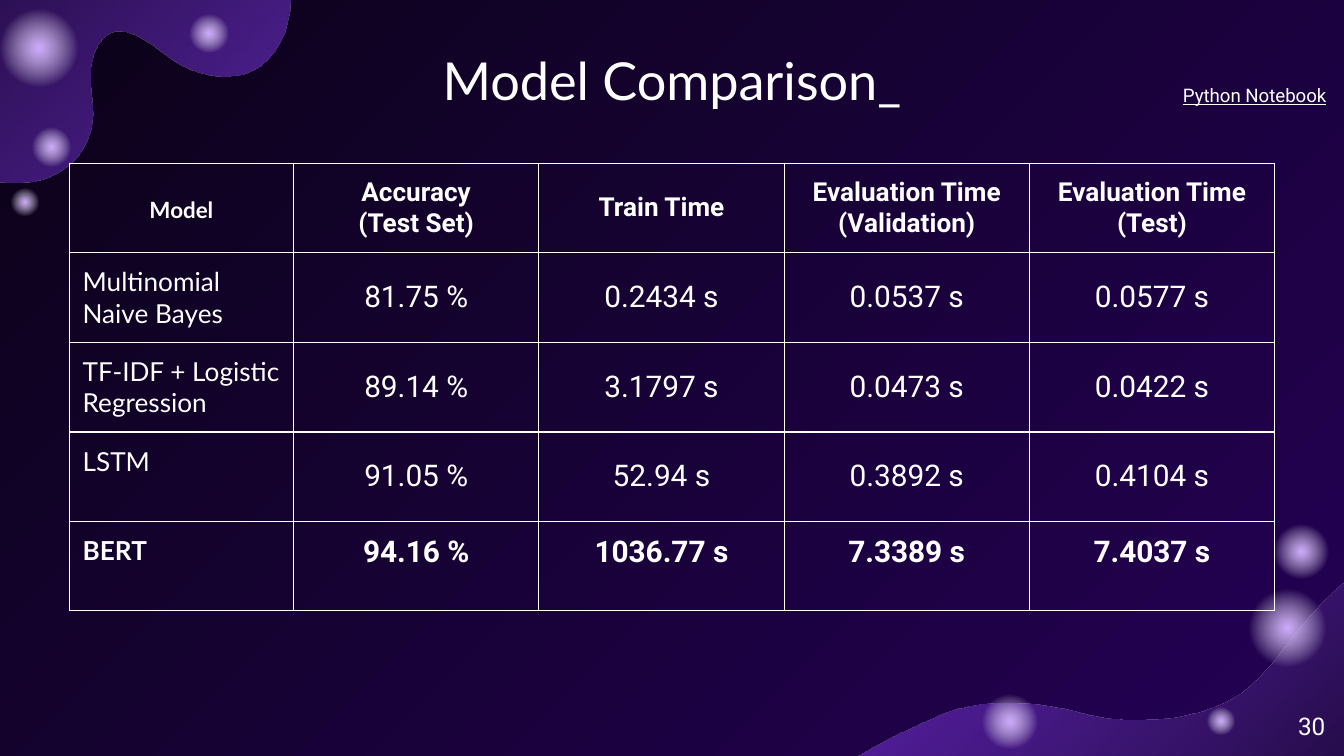
import dataclasses

import lxml.etree
import pptx
import pptx.dml.color
import pptx.enum.shapes
import pptx.enum.text
import pptx.oxml.ns
import pptx.util

CELL = pptx.util.Inches(0.01)
COLUMNS, ROWS = 1000, 562.5
ALIGN = pptx.enum.text.PP_ALIGN
ANCHOR = pptx.enum.text.MSO_ANCHOR
qn = pptx.oxml.ns.qn


@dataclasses.dataclass(frozen=True)
class Theme:
    ink: str = "FFFFFF"
    night: tuple = ((0, "0B0218", 100), (100, "240155", 100))
    top_wave: tuple = ((0, "31125C", 90), (100, "632BB7", 78))
    bottom_wave: tuple = ((0, "270E4B", 93), (100, "6E2CCA", 75))
    glow: tuple = ((0, "CEABFF", 100), (57, "FFFFFF", 0), (100, "FFFFFF", 0))
    display: str = "Lato"
    body: str = "Roboto"
    title: int = 28
    figure: int = 16
    label: int = 14
    number: int = 13
    corner: int = 12
    link: int = 10
    rule: float = 0.75


@dataclasses.dataclass(frozen=True)
class Box:
    left: float
    top: float
    width: float
    height: float

    def frame(self):
        return [round(side * CELL) for side in (self.left, self.top, self.width, self.height)]

    def point(self, x, y):
        return round((self.left + x) * CELL), round((self.top + y) * CELL)


THEME = Theme()

TOP_CORNER = Box(0, 0, 216, 136)
TOP_WAVE = [(0, 135), (6, 136), (11, 136), (16, 136), (39, 135), (58, 123), (66, 102),
            (75, 80), (60, 56), (73, 34), (87, 10), (112, 33), (127, 44),
            (144, 56), (172, 63), (191, 51), (200, 45), (207, 35), (211, 25),
            (214, 16), (215, 8), (216, 0)]
TOP_ORBS = [(38.5, 109.5, 36), (18.5, 150.5, 26), (155.5, 25, 36), (29, 36, 72)]

BOTTOM_CORNER = Box(638, 433, 362, 129.5)
BOTTOM_WAVE = [(362, 0), (350, 10), (339, 22), (327, 36), (311, 56), (298, 78), (272, 90),
               (245, 103), (203, 106), (172, 99), (139, 90), (99, 85), (66, 97),
               (43, 107), (21, 117), (0, 129.5)]
BOTTOM_ORBS = [(320, 34.5, 72), (330.5, -22.5, 51), (113.5, 104, 51), (270.5, 103.5, 26)]

HEADINGS = ["Model", "Accuracy\n(Test Set)", "Train Time",
            "Evaluation Time (Validation)", "Evaluation Time (Test)"]
RESULTS = [
    ["Multinomial Naive Bayes", "81.75 %", "0.2434 s", "0.0537 s", "0.0577 s"],
    ["TF-IDF + Logistic Regression", "89.14 %", "3.1797 s", "0.0473 s", "0.0422 s"],
    ["LSTM", "91.05 %", "52.94 s", "0.3892 s", "0.4104 s"],
    ["BERT", "94.16 %", "1036.77 s", "7.3389 s", "7.4037 s"],
]


def paint_gradient(fill, owner, stops, angle=None):
    fill.gradient()
    gradient = next(owner.iter(qn("a:gradFill")))
    for child in list(gradient):
        gradient.remove(child)
    stop_list = lxml.etree.SubElement(gradient, qn("a:gsLst"))
    for position, colour, opacity in stops:
        stop = lxml.etree.SubElement(stop_list, qn("a:gs"), pos=str(position * 1000))
        tint = lxml.etree.SubElement(stop, qn("a:srgbClr"), val=colour)
        if opacity < 100:
            lxml.etree.SubElement(tint, qn("a:alpha"), val=str(opacity * 1000))
    if angle is None:
        circle = lxml.etree.SubElement(gradient, qn("a:path"), path="circle")
        lxml.etree.SubElement(circle, qn("a:fillToRect"), l="50000", t="50000", r="50000", b="50000")
    else:
        lxml.etree.SubElement(gradient, qn("a:lin"), ang=str(angle * 60000), scaled="0")


def write(frame, text, font, size, align, bold=False, underline=False):
    frame.text = text
    for paragraph in frame.paragraphs:
        paragraph.alignment = align
        for run in paragraph.runs:
            run.font.name = font
            run.font.size = pptx.util.Pt(size)
            run.font.bold = bold
            run.font.underline = underline
            run.font.color.rgb = pptx.dml.color.RGBColor.from_string(THEME.ink)


def pad(holder):
    holder.margin_left = holder.margin_right = 10 * CELL
    holder.margin_top = holder.margin_bottom = 10 * CELL


def trace(knots, steps=12):
    curve = [knots[0]]
    for i in range(0, len(knots) - 1, 3):
        for step in range(1, steps + 1):
            t = step / steps
            weights = ((1 - t) ** 3, 3 * t * (1 - t) ** 2, 3 * t * t * (1 - t), t ** 3)
            curve.append(tuple(sum(w * knot[axis] for w, knot in zip(weights, knots[i:i + 4]))
                               for axis in (0, 1)))
    return curve


def add_corner(slide, box, wave, corner, stops, angle, orbs):
    outline = [box.point(x, y) for x, y in trace(wave) + [corner]]
    builder = slide.shapes.build_freeform(*outline[0])
    builder.add_line_segments(outline[1:], close=True)
    hill = builder.convert_to_shape()
    hill.shadow.inherit = False
    hill.line.fill.background()
    paint_gradient(hill.fill, hill._element, stops, angle)
    for x, y, size in orbs:
        area = Box(box.left + x - size / 2, box.top + y - size / 2, size, size)
        orb = slide.shapes.add_shape(pptx.enum.shapes.MSO_SHAPE.OVAL, *area.frame())
        orb.shadow.inherit = False
        orb.line.fill.background()
        paint_gradient(orb.fill, orb._element, THEME.glow)


def add_heading(slide, box):
    heading = slide.shapes.title
    heading.left, heading.top, heading.width, heading.height = box.frame()
    frame = heading.text_frame
    pad(frame)
    frame.vertical_anchor = ANCHOR.TOP
    frame.auto_size = pptx.enum.text.MSO_AUTO_SIZE.NONE
    write(frame, "Model Comparison_", THEME.display, THEME.title, ALIGN.CENTER)


def add_note(slide, box, text, size, align, underline=False):
    frame = slide.shapes.add_textbox(*box.frame()).text_frame
    frame.word_wrap = True
    pad(frame)
    write(frame, text, THEME.body, size, align, underline=underline)


def rule_cell(cell):
    properties = cell._tc.get_or_add_tcPr()
    for side in ("a:lnL", "a:lnR", "a:lnT", "a:lnB"):
        edge = lxml.etree.SubElement(properties, qn(side), w=str(pptx.util.Pt(THEME.rule)))
        solid = lxml.etree.SubElement(edge, qn("a:solidFill"))
        lxml.etree.SubElement(solid, qn("a:srgbClr"), val=THEME.ink)
    cell.fill.background()


def add_results(slide, box, model_width):
    records = [HEADINGS] + RESULTS
    table = slide.shapes.add_table(len(records), len(HEADINGS), *box.frame()).table
    table.first_row = table.horz_banding = False
    measure_width = (box.width - model_width) / (len(HEADINGS) - 1)
    for c, column in enumerate(table.columns):
        column.width = round((measure_width if c else model_width) * CELL)
    for r, record in enumerate(records):
        table.rows[r].height = round(box.height / len(records) * CELL)
        for c, entry in enumerate(record):
            cell = table.cell(r, c)
            rule_cell(cell)
            pad(cell)
            at_top = record[0] == "BERT" or entry == "LSTM"
            cell.vertical_anchor = ANCHOR.TOP if at_top else ANCHOR.MIDDLE
            font = THEME.body if c else THEME.display
            size = THEME.figure if r and c else THEME.label if r or c else THEME.corner
            align = ALIGN.LEFT if r and not c else ALIGN.CENTER
            write(cell.text_frame, entry, font, size, align, bold=r in (0, len(RESULTS)))
    table.cell(0, 0).text_frame.paragraphs[0].line_spacing = 1.15


def main():
    deck = pptx.Presentation()
    deck.slide_width, deck.slide_height = COLUMNS * CELL, round(ROWS * CELL)
    slide = deck.slides.add_slide(deck.slide_layouts[5])
    paint_gradient(slide.background.fill, slide._element, THEME.night, 45)
    add_corner(slide, BOTTOM_CORNER, BOTTOM_WAVE, (362, 129.5), THEME.bottom_wave, 225, BOTTOM_ORBS)
    add_corner(slide, TOP_CORNER, TOP_WAVE, (0, 0), THEME.top_wave, 45, TOP_ORBS)
    add_heading(slide, Box(78.5, 26, 843, 63))
    add_results(slide, Box(51.5, 121.5, 897, 332.5), 167)
    add_note(slide, Box(936, 519.5, 60, 43), "30", THEME.number, ALIGN.RIGHT)
    add_note(slide, Box(864, 54, 139, 37), "Python Notebook", THEME.link, ALIGN.CENTER, underline=True)
    deck.save("out.pptx")


if __name__ == "__main__":
    main()
